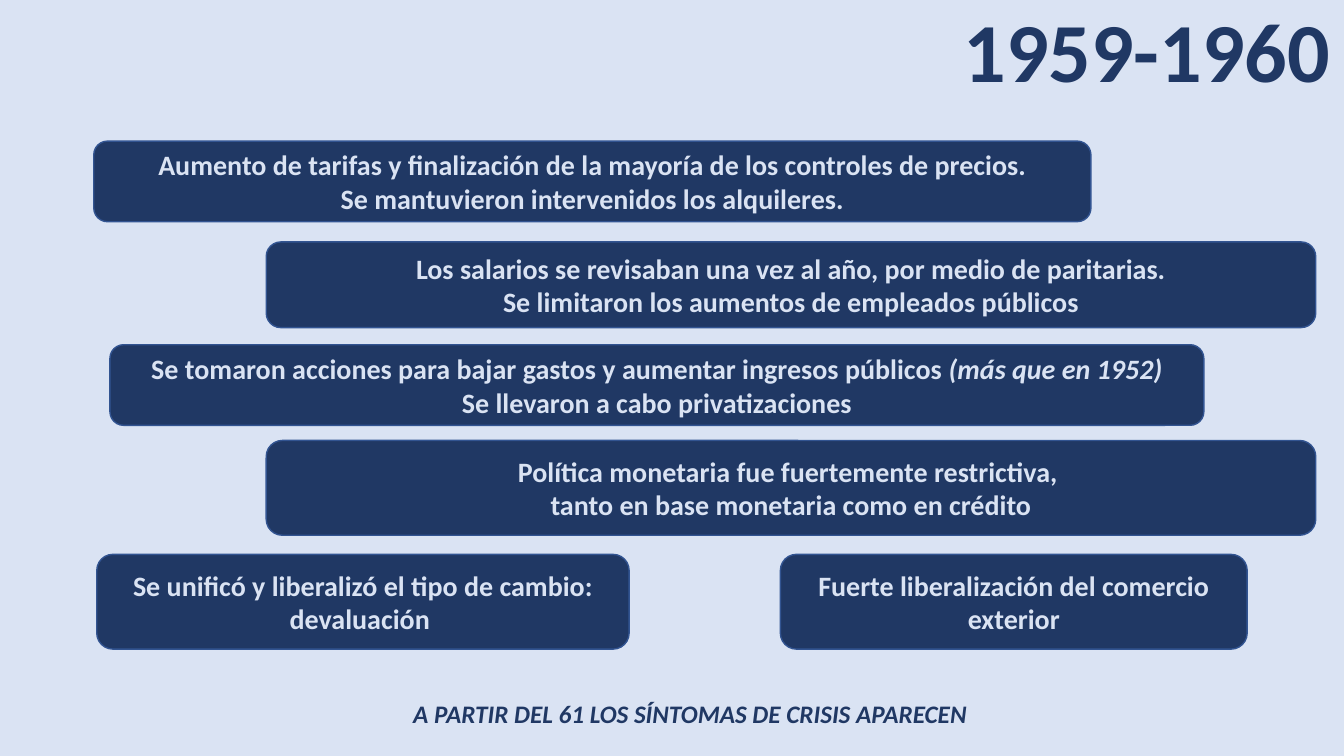
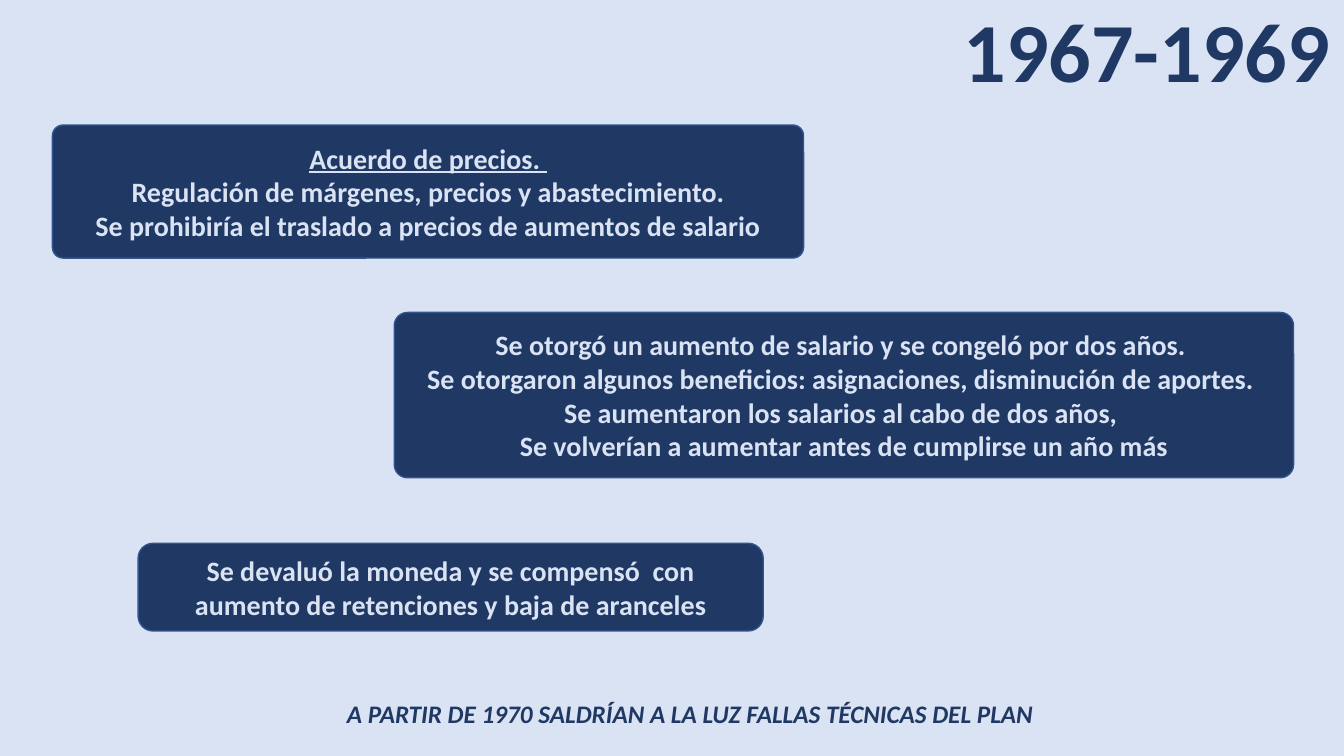
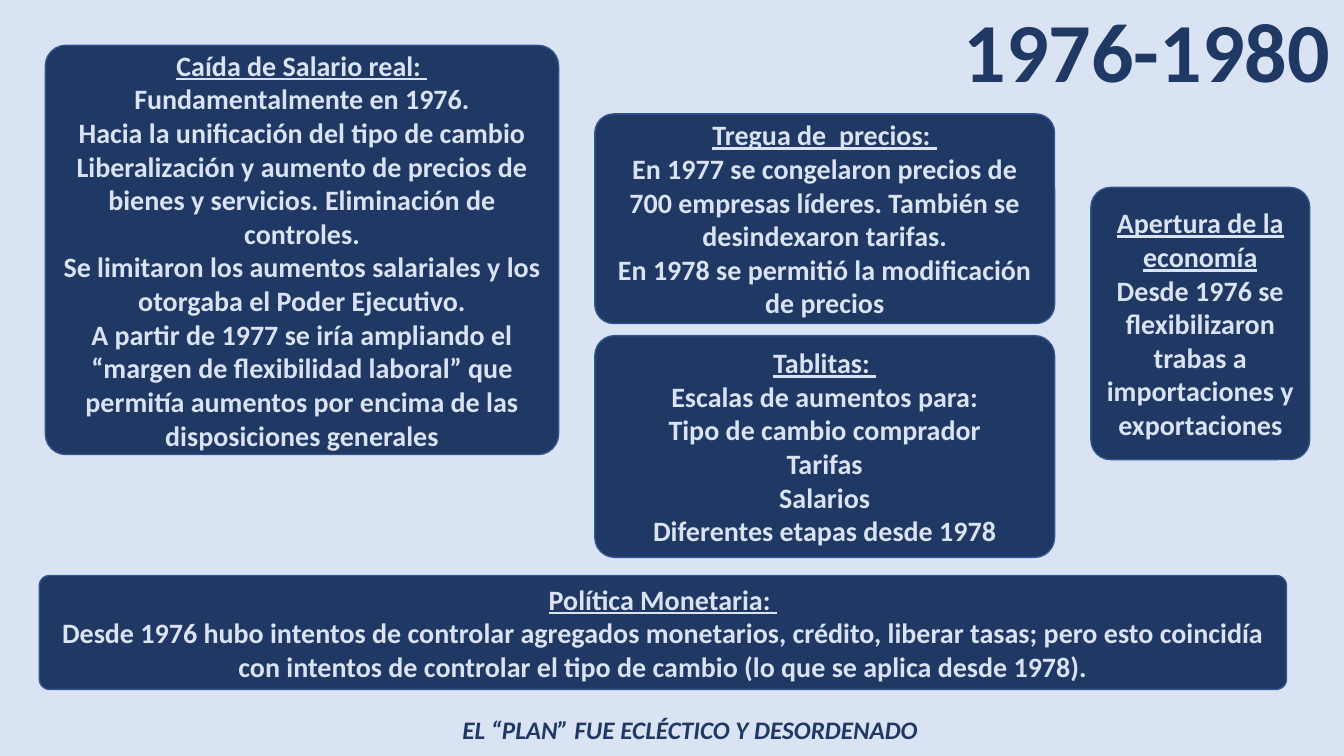
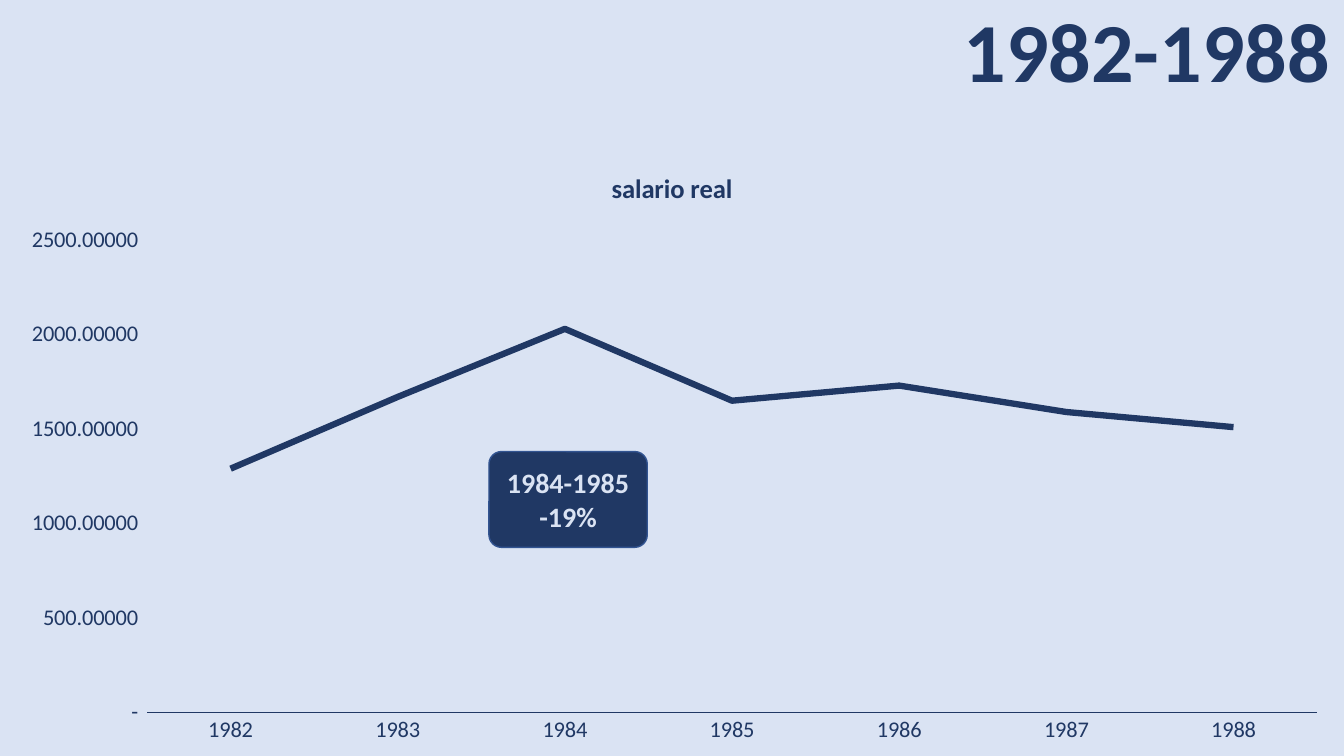
from pptx import Presentation
from pptx.chart.data import CategoryChartData
from pptx.dml.color import RGBColor
from pptx.enum.chart import XL_CHART_TYPE, XL_MARKER_STYLE, XL_TICK_MARK
from pptx.enum.shapes import MSO_SHAPE
from pptx.enum.text import MSO_ANCHOR, PP_ALIGN
from pptx.util import Inches, Pt

ROUNDED = MSO_SHAPE.ROUNDED_RECTANGLE
LINE_CHART = XL_CHART_TYPE.LINE
NO_MARKER = XL_MARKER_STYLE.NONE
NO_TICK = XL_TICK_MARK.NONE
CENTER = PP_ALIGN.CENTER
MIDDLE, BOTTOM = MSO_ANCHOR.MIDDLE, MSO_ANCHOR.BOTTOM

FONT = "Calibri"
COLORS = {"pale": "DAE3F3", "navy": "203864", "edge": "325491"}
TITLE_BOX = (9.42, 0, 3.91, 1.05)
CHART_BOX = (0, 1.47, 13.33, 6.03)
CORNER = 0.17

# Each panel: box, corner, optional underlined heading, lines.
# A line given as a tuple ends with an italic run.
SLIDES = [
    {
        "title": "1959-1960",
        "panels": [
            {"box": (0.93, 1.4, 9.89, 0.8), "lines": [
                "Aumento de tarifas y finalización de la mayoría de los controles de precios.",
                "Se mantuvieron intervenidos los alquileres."]},
            {"box": (2.64, 2.4, 10.41, 0.85), "lines": [
                "Los salarios se revisaban una vez al año, por medio de paritarias.",
                "Se limitaron los aumentos de empleados públicos"]},
            {"box": (1.09, 3.42, 10.85, 0.8), "lines": [
                ("Se tomaron acciones para bajar gastos y aumentar ingresos públicos ",
                 "(más que en 1952)"),
                "Se llevaron a cabo privatizaciones"]},
            {"box": (2.64, 4.37, 10.41, 0.94), "lines": [
                "Política monetaria fue fuertemente restrictiva, ",
                "tanto en base monetaria como en crédito"]},
            {"box": (0.96, 5.5, 5.28, 0.94), "lines": [
                "Se unificó y liberalizó el tipo de cambio: devaluación "]},
            {"box": (7.74, 5.5, 4.63, 0.94), "lines": [
                "Fuerte liberalización del comercio exterior"]},
        ],
        "footer": ("A PARTIR DEL 61 LOS SÍNTOMAS DE CRISIS APARECEN", 6.85),
    },
    {
        "title": "1967-1969",
        "panels": [
            {"box": (0.52, 1.24, 7.45, 1.32), "corner": 0.08,
             "heading": "Acuerdo de precios. ", "lines": [
                 "Regulación de márgenes, precios y abastecimiento.",
                 "Se prohibiría el traslado a precios de aumentos de salario"]},
            {"box": (3.91, 3.1, 8.92, 1.64), "corner": 0.08, "lines": [
                "Se otorgó un aumento de salario y se congeló por dos años. ",
                "Se otorgaron algunos beneficios: asignaciones, disminución de aportes. ",
                "Se aumentaron los salarios al cabo de dos años, ",
                "Se volverían a aumentar antes de cumplirse un año más"]},
            {"box": (1.37, 5.39, 6.2, 0.87), "lines": [
                "Se devaluó la moneda y se compensó  con aumento de retenciones "
                "y baja de aranceles"]},
        ],
        "footer": ("A PARTIR DE 1970 SALDRÍAN A LA LUZ FALLAS TÉCNICAS DEL PLAN", 6.85),
    },
    {
        "title": "1976-1980",
        "panels": [
            {"box": (0.45, 0.45, 5.09, 4.06), "corner": 0.05,
             "heading": "Caída de Salario real: ", "lines": [
                 "Fundamentalmente en 1976.",
                 "Hacia la unificación del tipo de cambio",
                 "Liberalización y aumento de precios de bienes y servicios. "
                 "Eliminación de controles.",
                 "Se limitaron los aumentos salariales y los otorgaba el Poder Ejecutivo.",
                 "A partir de 1977 se iría ampliando el “margen de flexibilidad laboral” "
                 "que permitía aumentos por encima de las disposiciones generales"]},
            {"box": (5.9, 1.13, 4.56, 2.08), "corner": 0.09,
             "heading": "Tregua de  precios: ", "lines": [
                 "En 1977 se congelaron precios de 700 empresas líderes. "
                 "También se desindexaron tarifas.",
                 "En 1978 se permitió la modificación de precios"]},
            {"box": (0.39, 5.71, 12.37, 1.13), "corner": 0.09,
             "heading": "Política Monetaria: ", "lines": [
                 "Desde 1976 hubo intentos de controlar agregados monetarios, crédito, "
                 "liberar tasas; pero esto coincidía con intentos de controlar el tipo "
                 "de cambio (lo que se aplica desde 1978)."]},
            {"box": (5.9, 3.33, 4.56, 2.2), "corner": 0.09,
             "heading": "Tablitas: ", "lines": [
                 "Escalas de aumentos para:", "Tipo de cambio comprador",
                 "Tarifas", "Salarios", "Diferentes etapas desde 1978"]},
            {"box": (10.82, 1.86, 2.17, 2.7), "corner": 0.09,
             "heading": "Apertura de la economía", "lines": [
                 "Desde 1976 se flexibilizaron trabas a importaciones y exportaciones"]},
        ],
        "footer": ("EL “PLAN” FUE ECLÉCTICO Y DESORDENADO", 7.01),
    },
    {
        "title": "1982-1988",
        "chart": {
            "name": "salario real",
            "values": {"1982": 1290, "1983": 1670, "1984": 2030, "1985": 1650,
                       "1986": 1730, "1987": 1590, "1988": 1510},
            "format": '_ * #.##000_ ;_ * \\-#.##000_ ;_ * "-"_ ;',
        },
        "panels": [
            {"box": (4.85, 4.48, 1.57, 0.95), "corner": 0.13,
             "lines": ["1984-1985", "-19%"]},
        ],
    },
]


def color(name):
    return RGBColor.from_string(COLORS[name])


def place(box):
    return [Inches(length) for length in box]


def style_font(font, size, color_name, bold=True):
    font.name, font.size, font.bold = FONT, Pt(size), bold
    font.color.rgb = color(color_name)


def write_lines(shape, lines, size, color_name, anchor=MIDDLE):
    """Fill the shape with centred bold paragraphs and return them."""
    frame = shape.text_frame
    frame.word_wrap = True
    frame.vertical_anchor = anchor
    for index, line in enumerate(lines):
        paragraph = frame.paragraphs[0] if index == 0 else frame.add_paragraph()
        paragraph.alignment = CENTER
        style_font(paragraph.font, size, color_name)
        plain, italic = line if isinstance(line, tuple) else (line, "")
        paragraph.add_run().text = plain
        if italic:
            run = paragraph.add_run()
            run.text = italic
            run.font.italic = True
    return frame.paragraphs


def add_rounded(slide, box, fill, corner=CORNER):
    shape = slide.shapes.add_shape(ROUNDED, *place(box))
    shape.adjustments[0] = corner
    shape.shadow.inherit = False
    shape.fill.solid()
    shape.fill.fore_color.rgb = color(fill)
    return shape


def add_panel(slide, box, lines, heading=None, corner=CORNER):
    shape = add_rounded(slide, box, "navy", corner)
    shape.line.color.rgb = color("edge")
    shape.line.width = Pt(1)
    paragraphs = write_lines(shape, ([heading] if heading else []) + lines, 20, "pale")
    if heading:
        paragraphs[0].font.underline = True


def add_footer(slide, text, top):
    shape = add_rounded(slide, (2.64, top, 8.41, 0.45), "pale")
    shape.line.fill.background()
    write_lines(shape, [text], 18, "navy")[0].font.italic = True


def add_title(slide, text):
    shape = slide.shapes.add_textbox(*place(TITLE_BOX))
    write_lines(shape, [text], 60, "navy", BOTTOM)[0].line_spacing = 0.9


def add_line_chart(slide, name, values, format):
    data = CategoryChartData()
    data.categories = list(values)
    data.add_series(name, list(values.values()))
    chart = slide.shapes.add_chart(LINE_CHART, *place(CHART_BOX), data).chart
    style_font(chart.font, 16, "navy", bold=False)
    chart.has_legend = False
    chart.has_title = True
    title_frame = chart.chart_title.text_frame
    title_frame.text = name
    style_font(title_frame.paragraphs[0].font, 19, "navy")

    # Axes
    for axis in (chart.category_axis, chart.value_axis):
        axis.major_tick_mark = axis.minor_tick_mark = NO_TICK
        axis.has_major_gridlines = False
    chart.category_axis.format.line.color.rgb = color("navy")
    chart.category_axis.format.line.width = Pt(0.75)
    value_axis = chart.value_axis
    value_axis.format.line.fill.background()
    value_axis.minimum_scale, value_axis.maximum_scale = 0, 2500
    value_axis.major_unit = 500
    value_axis.tick_labels.number_format = format
    value_axis.tick_labels.number_format_is_linked = False

    # Series
    plot = chart.plots[0]
    plot.vary_by_categories = False
    series = plot.series[0]
    series.smooth = False
    series.marker.style = NO_MARKER
    series.format.line.color.rgb = color("navy")
    series.format.line.width = Pt(4.5)


def main():
    presentation = Presentation()
    presentation.slide_width, presentation.slide_height = Inches(13.33), Inches(7.5)
    background = presentation.slide_master.background.fill
    background.solid()
    background.fore_color.rgb = color("pale")

    for content in SLIDES:
        slide = presentation.slides.add_slide(presentation.slide_layouts[6])
        if "chart" in content:
            add_line_chart(slide, **content["chart"])
        for panel in content["panels"]:
            add_panel(slide, **panel)
        if "footer" in content:
            add_footer(slide, *content["footer"])
        add_title(slide, content["title"])
    presentation.save("out.pptx")


if __name__ == "__main__":
    main()
